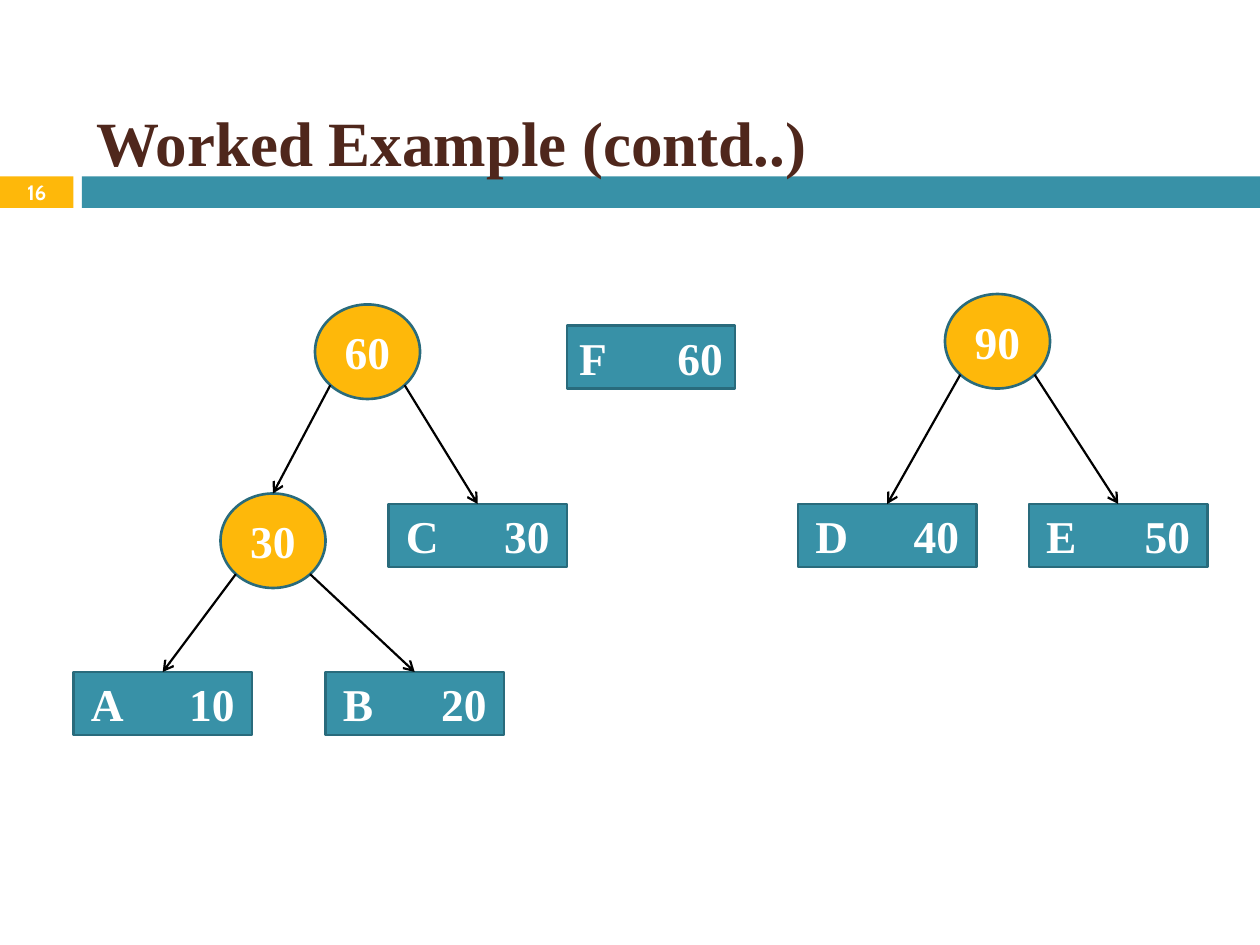
from dataclasses import dataclass
from math import sqrt

from lxml.etree import SubElement
from pptx import Presentation
from pptx.dml.color import RGBColor
from pptx.enum.shapes import MSO_CONNECTOR as Connector, MSO_SHAPE as Preset
from pptx.enum.text import MSO_ANCHOR as Anchor, PP_ALIGN as Align
from pptx.oxml.ns import qn
from pptx.util import Inches, Pt


@dataclass(frozen=True)
class Theme:
    teal: str = "3891A7"
    teal_dark: str = "296B7C"
    amber: str = "FEB80A"
    brown: str = "4F271C"
    white: str = "FFFFFF"
    black: str = "000000"
    serif: str = "Times New Roman"
    sans: str = "Cabin"
    title_size: float = 36
    node_size: float = 26
    number_size: float = 11.9
    outline: float = 1.5
    arrow: float = 1.25


class TreeSlide:
    """Draws on a grid of 120 columns by 90 rows, twelve to the inch."""

    COLUMNS, ROWS = 120, 90
    CIRCLE = (10, 9)
    LEAF_HEIGHT = 6
    LABEL_WIDTH = 13.7

    def __init__(self, presentation, theme):
        self.theme = theme
        self.column = presentation.slide_width / self.COLUMNS
        self.row = presentation.slide_height / self.ROWS
        self.slide = presentation.slides.add_slide(presentation.slide_layouts[6])

    def place(self, left, top, width, height):
        return (round(left * self.column), round(top * self.row),
                round(width * self.column), round(height * self.row))

    def set_text(self, shape, text, size, font, color, align=Align.CENTER, tab=None):
        frame = shape.text_frame
        frame.word_wrap = True
        frame.vertical_anchor = Anchor.MIDDLE
        paragraph = frame.paragraphs[0]
        paragraph.text = text
        paragraph.alignment = align
        if tab:
            tabs = SubElement(paragraph._p.get_or_add_pPr(), qn("a:tabLst"))
            SubElement(tabs, qn("a:tab"), pos=str(tab), algn="r")
        paragraph.font.size = Pt(size)
        paragraph.font.name = font
        paragraph.font.bold = True
        paragraph.font.color.rgb = RGBColor.from_string(color)

    def text(self, box, text, size, font, color, align):
        shape = self.slide.shapes.add_textbox(*self.place(*box))
        self.set_text(shape, text, size, font, color, align)

    def block(self, preset, box, fill, outline=None):
        shape = self.slide.shapes.add_shape(preset, *self.place(*box))
        shape.shadow.inherit = False
        shape.fill.solid()
        shape.fill.fore_color.rgb = RGBColor.from_string(fill)
        if outline:
            shape.line.color.rgb = RGBColor.from_string(outline)
            shape.line.width = Pt(self.theme.outline)
        else:
            shape.line.fill.background()
        return shape

    def circle(self, left, top, weight):
        theme = self.theme
        shape = self.block(Preset.OVAL, (left, top, *self.CIRCLE), theme.amber, theme.teal_dark)
        shape.text_frame.margin_left = shape.text_frame.margin_right = 0
        self.set_text(shape, weight, theme.node_size, theme.serif, theme.white)
        return shape

    def leaf(self, left, top, letter, weight, width=17):
        """Box with the letter at the left and the weight at a right tab."""
        theme = self.theme
        shape = self.block(Preset.RECTANGLE, (left, top, width, self.LEAF_HEIGHT),
                           theme.teal, theme.teal_dark)
        shape.text_frame.margin_left = round((width - self.LABEL_WIDTH) / 2 * self.column)
        shape.text_frame.margin_right = 0
        self.set_text(shape, f"{letter}\t{weight}", theme.node_size, theme.serif, theme.white,
                      Align.LEFT, round(self.LABEL_WIDTH * self.column))
        return shape

    def branch(self, parent, *children):
        """Arrows from the lower left and lower right of a circle to its children."""
        reach_x, reach_y = (side / 2 / sqrt(2) for side in (parent.width, parent.height))
        start_y = round(parent.top + parent.height / 2 + reach_y)
        for side, child in zip((-1, 1), children):
            start_x = round(parent.left + parent.width / 2 + side * reach_x)
            arrow = self.slide.shapes.add_connector(
                Connector.STRAIGHT, start_x, start_y, child.left + child.width // 2, child.top)
            arrow.end_connect(child, 0)
            arrow.line.color.rgb = RGBColor.from_string(self.theme.black)
            arrow.line.width = Pt(self.theme.arrow)
            SubElement(arrow.line._get_or_add_ln(), qn("a:tailEnd"), type="arrow")
            SubElement(arrow._element.spPr, qn("a:effectLst"))

    def header(self, title, number):
        theme = self.theme
        number_box = (0, 16.8, 7, 3)
        self.block(Preset.RECTANGLE, number_box, theme.amber)
        self.block(Preset.RECTANGLE, (7.8, 16.8, self.COLUMNS - 7.8, 3), theme.teal)
        self.text((8, 9, 107, 9), title, theme.title_size, theme.serif, theme.brown, Align.LEFT)
        self.text(number_box, number, theme.number_size, theme.sans, theme.white, Align.CENTER)


def main():
    presentation = Presentation()
    presentation.slide_width, presentation.slide_height = Inches(10), Inches(7.5)
    tree = TreeSlide(presentation, Theme())
    tree.header("Worked Example (contd..)", "16")

    root_60 = tree.circle(30, 29, "60")
    root_90 = tree.circle(90, 28, "90")
    node_30 = tree.circle(21, 47, "30")

    tree.leaf(54, 31, "F", "60", width=16)
    leaf_a, leaf_b = (tree.leaf(left, 64, letter, weight)
                      for left, letter, weight in ((7, "A", "10"), (31, "B", "20")))
    leaf_c, leaf_d, leaf_e = (
        tree.leaf(left, 48, letter, weight)
        for left, letter, weight in ((37, "C", "30"), (76, "D", "40"), (98, "E", "50")))

    tree.branch(root_60, node_30, leaf_c)
    tree.branch(root_90, leaf_d, leaf_e)
    tree.branch(node_30, leaf_a, leaf_b)

    presentation.save("out.pptx")


if __name__ == "__main__":
    main()
